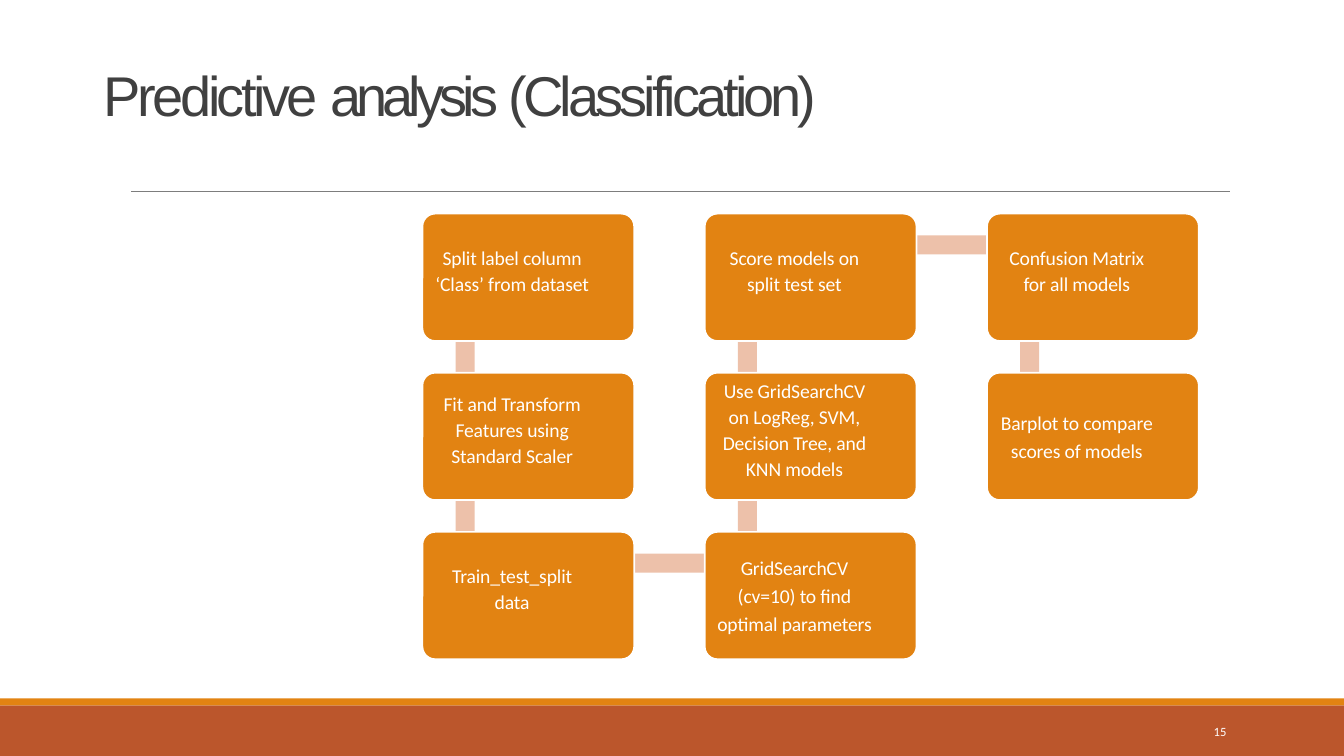
from lxml import etree
from pptx import Presentation, util as u
from pptx.dml.color import RGBColor
from pptx.enum import shapes, text
from pptx.oxml import ns

W, H = 13.33, 7.5
ORANGE, RUST, PEACH, WHITE = "E28312", "BB562C", "EDC1AA", "FFFFFF"
GRAY, DARK = "7D7D7D", "404040"
TIGHT, LOOSE = (18.5, 0.16), (20, 0.04)
STEPS = [
    ("Split label column\v‘Class’ from dataset", TIGHT),
    ("Fit and Transform\vFeatures using\vStandard Scaler", TIGHT),
    ("Train_test_split\vdata", TIGHT),
    ("GridSearchCV\v(cv=10) to find\voptimal parameters", LOOSE),
    ("Use GridSearchCV\von LogReg, SVM,\vDecision Tree, and\vKNN models", TIGHT),
    ("Score models on\vsplit test set", TIGHT),
    ("Confusion Matrix\vfor all models", TIGHT),
    ("Barplot to compare\vscores of models", LOOSE),
]


def color(value):
    return RGBColor.from_string(value)


def inches(*values):
    return [u.Inches(v) for v in values]


def set_insets(tf, left=0, top=0, right=0, bottom=0):
    tf.margin_left, tf.margin_top, tf.margin_right, tf.margin_bottom = inches(
        left, top, right, bottom)


def style_run(r, size, font, value, spacing=0):
    r.font.size = u.Pt(size)
    r.font.name = font
    r.font.color.rgb = color(value)
    r.font._element.set("spc", str(int(spacing * 100)))


def add_block(s, kind, box, fill, line=None):
    sp = s.shapes.add_shape(kind, *inches(*box))
    sp.shadow.inherit = False
    sp.fill.solid()
    sp.fill.fore_color.rgb = color(fill)
    if line:
        sp.line.color.rgb = color(line)
        sp.line.width = u.Pt(1.2)
    else:
        sp.line.fill.background()
    return sp


def add_header(s, x, y, w, h):
    sp = s.shapes.title
    sp.left, sp.top, sp.width, sp.height = inches(x, y, w, h)
    tf = sp.text_frame
    set_insets(tf, top=0.01)
    tf.auto_size = text.MSO_AUTO_SIZE.NONE
    tf.vertical_anchor = text.MSO_ANCHOR.TOP
    p = tf.paragraphs[0]
    p.alignment = text.PP_ALIGN.LEFT
    for words, spacing in (("Predictive ", -2.5), ("analysis ", -3.5),
                           ("(Classification)", -2.8)):
        r = p.add_run()
        r.text = words
        style_run(r, 40, "Arial", DARK, spacing)


def add_rule(s, x, y, w):
    line = s.shapes.add_connector(shapes.MSO_CONNECTOR.STRAIGHT,
                                  *inches(x, y, x + w, y))
    line.line.color.rgb = color(GRAY)
    line.line.width = u.Pt(0.48)
    etree.SubElement(line._element.spPr, ns.qn("a:effectLst"))


def add_card(s, box, words, layout):
    pitch, bottom = layout
    sp = add_block(s, shapes.MSO_SHAPE.ROUNDED_RECTANGLE, box, ORANGE, WHITE)
    sp.adjustments[0] = 0.1
    tf = sp.text_frame
    tf.word_wrap = True
    set_insets(tf, left=0.06, right=0.38, bottom=bottom)
    tf.vertical_anchor = text.MSO_ANCHOR.MIDDLE
    tf.text = words
    p = tf.paragraphs[0]
    p.alignment = text.PP_ALIGN.CENTER
    p.line_spacing = u.Pt(pitch)
    for r in p.runs:
        style_run(r, 14, "Calibri", WHITE, -0.1)


def add_process(s, x, y, w, h):
    col, row = w / 11, h / 14
    bar = 0.27 * col
    spots = []
    for i in range(len(STEPS)):
        column, rank = divmod(i, 3)
        level = 2 - rank if column % 2 else rank
        spots.append((x + 4 * col * column, y + 5 * row * level))
    for (left, top), (next_left, next_top) in zip(spots, spots[1:]):
        if left == next_left:
            box = left + 0.47 * col, min(top, next_top) + row, bar, 5 * row
        else:
            box = left + 0.6 * col, top + 0.68 * row, 4 * col, bar
        add_block(s, shapes.MSO_SHAPE.RECTANGLE, box, PEACH)
    for (left, top), (words, layout) in zip(spots, STEPS):
        add_card(s, (left, top, 3 * col, 4 * row), words, layout)


def add_footer(s, x, y, w, h):
    strip = 0.12 * h
    add_block(s, shapes.MSO_SHAPE.RECTANGLE, (x, y + strip, w, h - strip), RUST)
    add_block(s, shapes.MSO_SHAPE.RECTANGLE, (x, y, w, strip), ORANGE)
    sp = s.shapes.add_textbox(*inches(x + 0.9 * w, y + 0.44 * h, 0.02 * w, 0.27 * h))
    tf = sp.text_frame
    set_insets(tf, left=0.04)
    tf.word_wrap = True
    tf.text = "15"
    p = tf.paragraphs[0]
    p.line_spacing = u.Pt(11)
    style_run(p.runs[0], 9, "Calibri", WHITE)


def main():
    prs = Presentation()
    prs.slide_width, prs.slide_height = inches(W, H)
    s = prs.slides.add_slide(prs.slide_layouts[5])
    add_footer(s, 0, 6.93, W, 0.57)
    add_rule(s, 1.3, 1.9, 10.9)
    add_header(s, 1.03, 0.59, 8.66, 0.69)
    add_process(s, 4.19, 2.12, 7.7, 4.42)
    prs.save("out.pptx")


if __name__ == "__main__":
    main()
